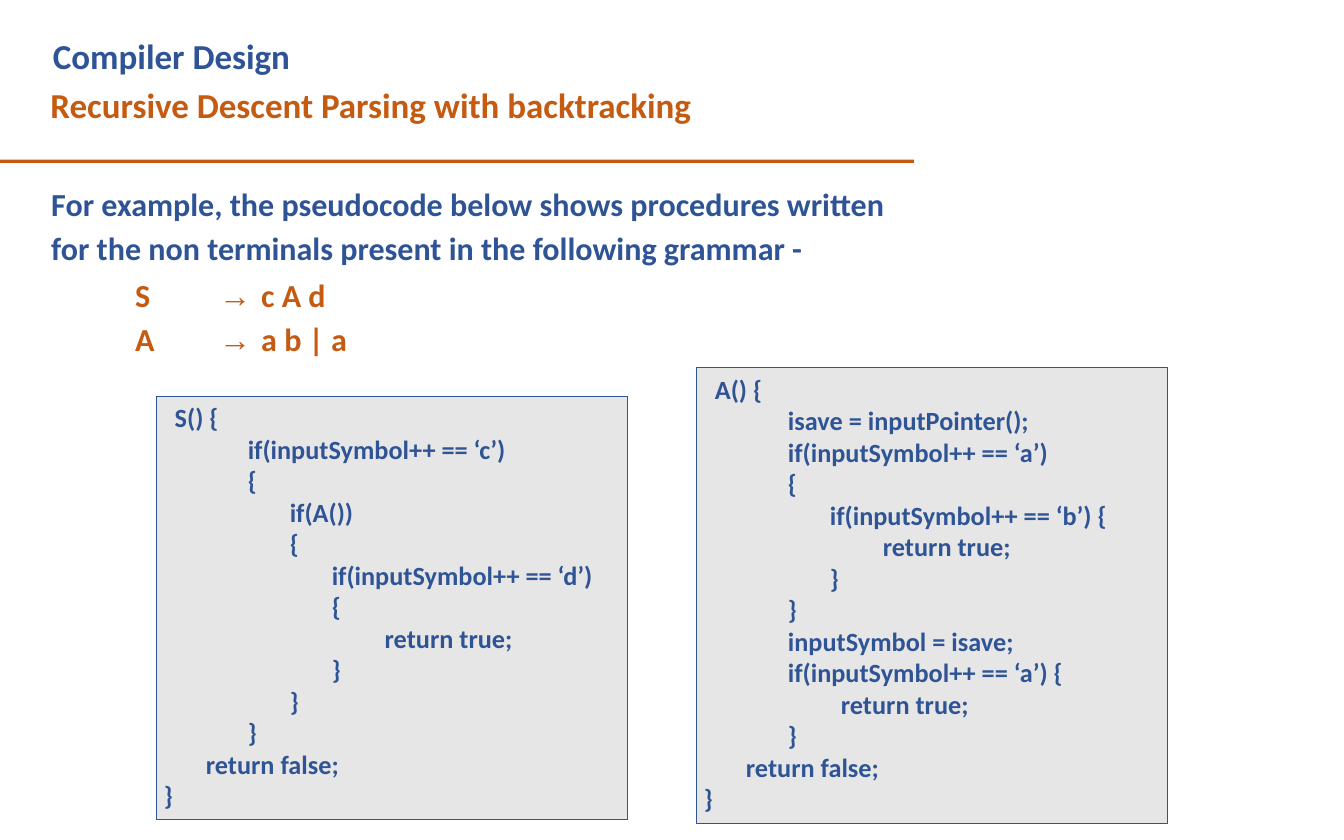
from pptx import Presentation
from pptx.dml.color import RGBColor
from pptx.enum.shapes import MSO_SHAPE
from pptx.enum.text import MSO_ANCHOR, MSO_AUTO_SIZE, PP_ALIGN
from pptx.oxml.ns import qn
from pptx.util import Inches, Pt
from lxml.etree import SubElement

BLUE = RGBColor(0x2F, 0x54, 0x96)
ORANGE = RGBColor(0xC5, 0x5A, 0x11)
GREY = RGBColor(0xE7, 0xE6, 0xE6)

# Each line of code with its indent in inches
CODE_S = [
    (0.22, "S() {"),
    (1.09, "if(inputSymbol++ == ‘c’)"),
    (1.09, "{"),
    (1.59, "if(A())"),
    (1.59, "{"),
    (2.09, "if(inputSymbol++ == ‘d’)"),
    (2.09, "{"),
    (2.72, "return true;"),
    (2.09, "}"),
    (1.59, "}"),
    (1.09, "}"),
    (0.59, "return false;"),
    (0.09, "}"),
]
CODE_A = [
    (0.22, "A() {"),
    (1.09, "isave = inputPointer();"),
    (1.09, "if(inputSymbol++ == ‘a’)"),
    (1.09, "{"),
    (1.59, "if(inputSymbol++ == ‘b’) {"),
    (2.22, "return true;"),
    (1.59, "}"),
    (1.09, "}"),
    (1.09, "inputSymbol = isave;"),
    (1.09, "if(inputSymbol++ == ‘a’) {"),
    (1.72, "return true;"),
    (1.09, "}"),
    (0.59, "return false;"),
    (0.09, "}"),
]


def place(shape, left, top, width, height):
    shape.left, shape.top = Inches(left), Inches(top)
    shape.width, shape.height = Inches(width), Inches(height)


def prepare_frame(frame, top_inset):
    frame.word_wrap = True
    frame.auto_size = MSO_AUTO_SIZE.NONE
    frame.vertical_anchor = MSO_ANCHOR.TOP
    frame.margin_left = frame.margin_right = frame.margin_bottom = 0
    frame.margin_top = Inches(top_inset)


def set_indent(paragraph, indent):
    properties = paragraph._p.get_or_add_pPr()
    properties.set("marL", str(Inches(indent)))
    properties.set("indent", "0")


def style(paragraph, size, color, indent=0.01):
    set_indent(paragraph, indent)
    paragraph.alignment = PP_ALIGN.LEFT
    for run in paragraph.runs:
        run.font.name = "Calibri"
        run.font.size = Pt(size)
        run.font.bold = True
        run.font.color.rgb = color


def add_title(slide):
    title = slide.shapes.title
    place(title, 0.59, 0.31, 7.66, 1.19)
    frame = title.text_frame
    prepare_frame(frame, 0.1)
    frame.text = "Compiler Design\nRecursive Descent Parsing with backtracking"
    course, topic = frame.paragraphs
    style(course, 30, BLUE, 0.04)
    style(topic, 30, ORANGE)
    topic.space_before = Pt(6)


def add_rule(slide):
    rule = slide.shapes.add_shape(
        MSO_SHAPE.RECTANGLE, 0, Inches(1.9), Inches(10.88), Inches(0.04))
    rule.shadow.inherit = False
    rule.fill.solid()
    rule.fill.fore_color.rgb = ORANGE
    rule.line.fill.background()


def add_text(slide, box, text, color, top_inset=0.01, line_spacing=1.15):
    textbox = slide.shapes.add_textbox(0, 0, 0, 0)
    place(textbox, *box)
    frame = textbox.text_frame
    prepare_frame(frame, top_inset)
    frame.text = text
    for paragraph in frame.paragraphs:
        style(paragraph, 27.5, color)
        paragraph.line_spacing = line_spacing
    return frame.paragraphs


def add_productions(slide):
    add_text(slide, (1.6, 3.2, 0.26, 1.1), "S\nA", ORANGE)
    bodies = add_text(slide, (2.6, 3.2, 2.07, 1.1), "", ORANGE, 0.08, 1.0)
    frame = bodies[0]._parent
    for index, body in enumerate(["c A d", "a b | a"]):
        paragraph = frame.add_paragraph() if index else frame.paragraphs[0]
        tabs = SubElement(paragraph._p.get_or_add_pPr(), qn("a:tabLst"))
        SubElement(tabs, qn("a:tab"), pos=str(Inches(1)), algn="l")
        arrow = paragraph.add_run()
        arrow.text = "→\t"
        paragraph.add_run().text = body
        style(paragraph, 27.5, ORANGE)
        arrow.font.name = "Arial"
        if index:
            paragraph.space_before = Pt(5)


def add_code(slide, box, lines):
    panel = slide.shapes.add_shape(MSO_SHAPE.RECTANGLE, 0, 0, 0, 0)
    place(panel, *box)
    panel.shadow.inherit = False
    panel.fill.solid()
    panel.fill.fore_color.rgb = GREY
    panel.line.color.rgb = BLUE
    panel.line.width = Pt(0.75)
    frame = panel.text_frame
    prepare_frame(frame, 0)
    frame.text = "\n".join(text for _, text in lines)
    for paragraph, (indent, _) in zip(frame.paragraphs, lines):
        style(paragraph, 22.5, BLUE, indent)
    frame.paragraphs[0].line_spacing = 1.16


def main():
    presentation = Presentation()
    presentation.slide_width = Inches(16)
    presentation.slide_height = Inches(10)
    slide = presentation.slides.add_slide(presentation.slide_layouts[5])

    # Heading
    add_title(slide)
    add_rule(slide)

    # Introduction and grammar
    add_text(slide, (0.6, 2.12, 10.29, 1.1),
             "For example, the pseudocode below shows procedures written "
             "for the non terminals present in the following grammar -", BLUE)
    add_productions(slide)

    # Procedures for the non terminals
    add_code(slide, (1.86, 4.72, 5.61, 5.03), CODE_S)
    add_code(slide, (8.29, 4.38, 5.61, 5.42), CODE_A)

    presentation.save("out.pptx")


if __name__ == "__main__":
    main()
